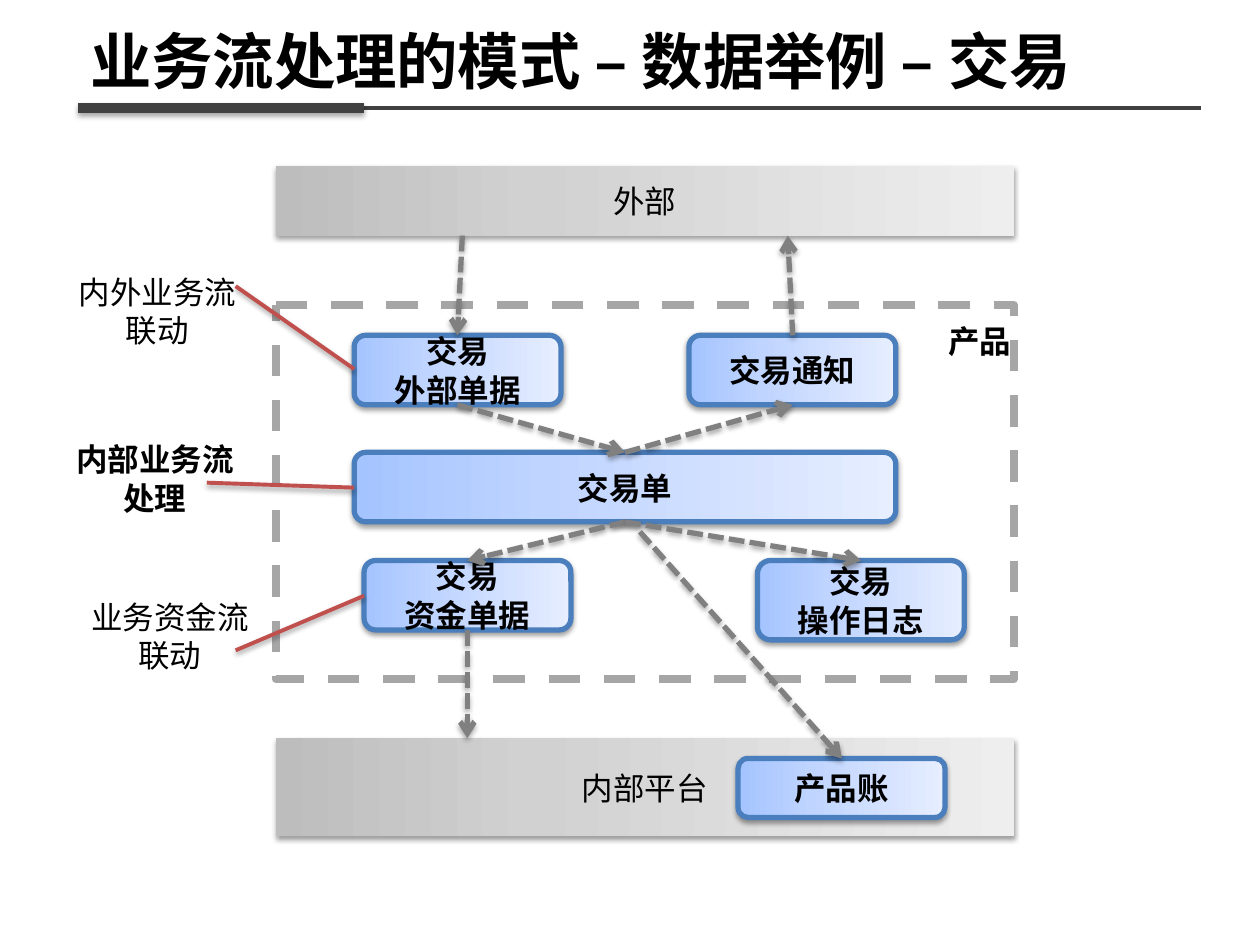
from lxml.etree import SubElement
from copy import deepcopy
from pptx import Presentation
from pptx.dml.color import RGBColor as Rgb
from pptx.enum.dml import MSO_LINE as Dash
from pptx.enum.shapes import MSO_CONNECTOR as Connector, MSO_SHAPE as Preset
from pptx.enum.text import MSO_ANCHOR as Anchor, PP_ALIGN as Align
from pptx.oxml.ns import qn
from pptx.util import Cm, Pt

THEME = {
    "font": "Noto Sans CJK SC",
    "title_size": 35.1,
    "body_size": 18,
    "title_spacing": 44,
    "body_spacing": 22,
    "text": "000000",
    "shadow": "000000",
    "rule": "404040",
    "frame": "A6A6A6",
    "box_line": "4B7EBC",
    "callout": "C0504D",
    "flow": "808080",
    "box_fill": ("A4C4FF", "BFD4FF", "E6EEFF"),
    "bar_fill": ("BDBDBD", "D1D1D1", "EEEEEE"),
}


def write_text(shape, text, size=THEME["body_size"], spacing=THEME["body_spacing"],
               bold=False, align=Align.CENTER, anchor=Anchor.MIDDLE, wrap=True):
    frame = shape.text_frame
    frame.word_wrap = wrap
    frame.vertical_anchor = anchor
    frame.text = text
    for paragraph in frame.paragraphs:
        paragraph.alignment = align
        paragraph.line_spacing = Pt(spacing)
        for run in paragraph.runs:
            run.font.name = THEME["font"]
            run.font.size = Pt(size)
            run.font.bold = bold
            run.font.color.rgb = Rgb.from_string(THEME["text"])
            SubElement(run.font._element, qn("a:ea"), typeface=THEME["font"])


def add_shadow(shape, opacity, distance):
    properties = shape._element.spPr
    effects = properties.find(qn("a:effectLst"))
    if effects is None:
        effects = SubElement(properties, qn("a:effectLst"))
    if opacity:
        shadow = SubElement(effects, qn("a:outerShdw"), blurRad=str(Pt(3.1)),
                            dist=str(Pt(distance)), dir="5400000", rotWithShape="0")
        color = SubElement(shadow, qn("a:srgbClr"), val=THEME["shadow"])
        SubElement(color, qn("a:alpha"), val=str(opacity * 1000))


presentation = Presentation()
presentation.slide_width = Cm(25.4)
presentation.slide_height = Cm(19.05)
slide = presentation.slides.add_slide(presentation.slide_layouts[6])
shapes = slide.shapes

title = shapes.add_textbox(Cm(1.57), Cm(0.36), Cm(22.56), Cm(1.63))
write_text(title, "业务流处理的模式 – 数据举例 – 交易", size=THEME["title_size"],
           spacing=THEME["title_spacing"], bold=True, align=Align.LEFT)

product_frame = shapes.add_shape(Preset.FLOWCHART_PROCESS, Cm(5.56), Cm(6.15), Cm(14.88), Cm(7.54))
product_frame.shadow.inherit = False
product_frame.fill.background()
product_frame.line.color.rgb = Rgb.from_string(THEME["frame"])
product_frame.line.width = Pt(4.5)
product_frame.line.dash_style = Dash.DASH

bars = [
    ("外部", 5.56, 3.35, 14.88, 1.4),
    ("内部平台", 5.56, 14.88, 14.88, 1.98),
]
boxes = [
    ("交易\n外部单据", 7.14, 6.76, 4.17, 1.4),
    ("交易通知", 13.89, 6.76, 4.17, 1.4),
    ("交易单", 7.14, 9.12, 10.92, 1.4),
    ("交易\n资金单据", 7.34, 11.3, 4.17, 1.4),
    ("交易\n操作日志", 15.27, 11.3, 4.17, 1.6),
    ("产品账", 14.88, 15.29, 4.17, 1.19),
]
for preset, colors, is_box, items in (
    (Preset.FLOWCHART_PROCESS, THEME["bar_fill"], False, bars),
    (Preset.ROUNDED_RECTANGLE, THEME["box_fill"], True, boxes),
):
    for text, *bounds in items:
        shape = shapes.add_shape(preset, *map(Cm, bounds))
        shape.shadow.inherit = False
        shape.fill.gradient()
        shape.fill.gradient_angle = 0
        first_stop = shape.fill.gradient_stops[0]._gs
        first_stop.addnext(deepcopy(first_stop))
        for stop, position, color in zip(shape.fill.gradient_stops, (0, 0.35, 1), colors):
            stop.position = position
            stop.color.rgb = Rgb.from_string(color)
        if is_box:
            shape.line.color.rgb = Rgb.from_string(THEME["box_line"])
            shape.line.width = Pt(3)
        else:
            shape.line.fill.background()
        add_shadow(shape, 38, 1.6)
        write_text(shape, text, bold=is_box)

labels = [
    ("内外业务流\n联动", 1.32, 5.36, 3.71, 1.8, False),
    ("内部业务流\n处理", 1.27, 8.74, 3.71, 1.8, True),
    ("业务资金流\n联动", 1.57, 11.91, 3.71, 1.8, False),
    ("产品", 18.85, 6.35, 1.8, 1.02, True),
]
for text, *bounds, bold in labels:
    label = shapes.add_textbox(*map(Cm, bounds))
    write_text(label, text, bold=bold, anchor=Anchor.TOP, wrap=False)

title_rule = [(1.57, 2.18, 24.21, 2.18)]
title_accent = [(1.57, 2.18, 7.34, 2.18)]
callouts = [
    (4.75, 5.77, 7.14, 7.44),
    (4.17, 9.73, 7.14, 9.83),
    (4.75, 13.11, 7.34, 12.01),
]
flows = [
    (9.32, 4.75, 9.22, 6.76),
    (15.98, 6.76, 15.88, 4.75),
    (9.22, 8.16, 12.6, 9.12),
    (12.6, 9.12, 15.98, 8.16),
    (12.6, 10.52, 9.42, 11.3),
    (12.6, 10.52, 17.36, 11.3),
    (9.42, 12.7, 9.42, 14.88),
    (12.9, 10.72, 16.97, 15.29),
]
for lines, color, width, opacity, is_flow in (
    (title_rule, THEME["rule"], 2.25, 0, False),
    (title_accent, THEME["rule"], 6, 35, False),
    (callouts, THEME["callout"], 2.25, 35, False),
    (flows, THEME["flow"], 3, 35, True),
):
    for ends in lines:
        connector = shapes.add_connector(Connector.STRAIGHT, *map(Cm, ends))
        connector.line.color.rgb = Rgb.from_string(color)
        connector.line.width = Pt(width)
        if is_flow:
            connector.line.dash_style = Dash.SQUARE_DOT
            SubElement(connector.line._get_or_add_ln(), qn("a:tailEnd"), type="arrow")
        add_shadow(connector, opacity, 1.8)

presentation.save("out.pptx")
